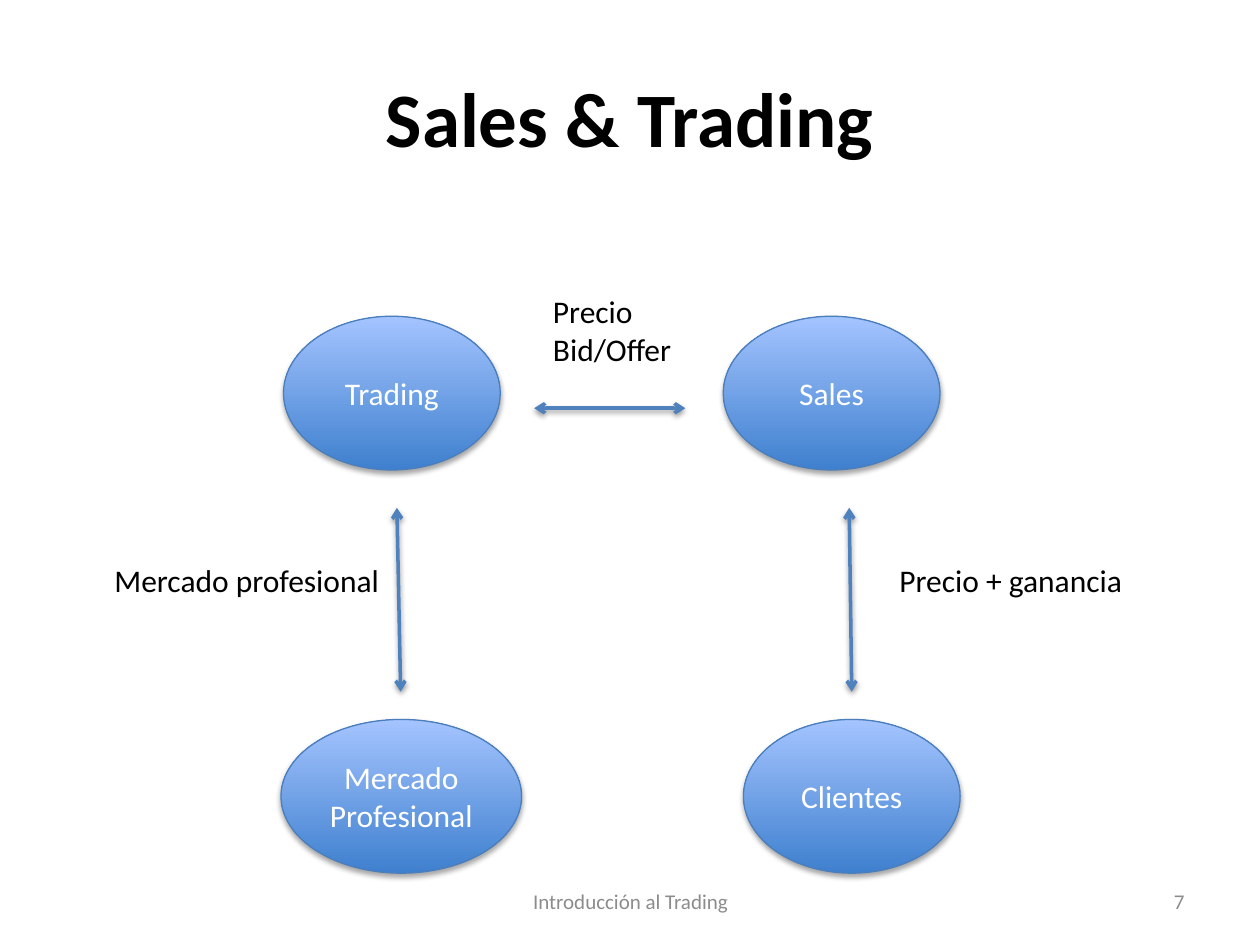
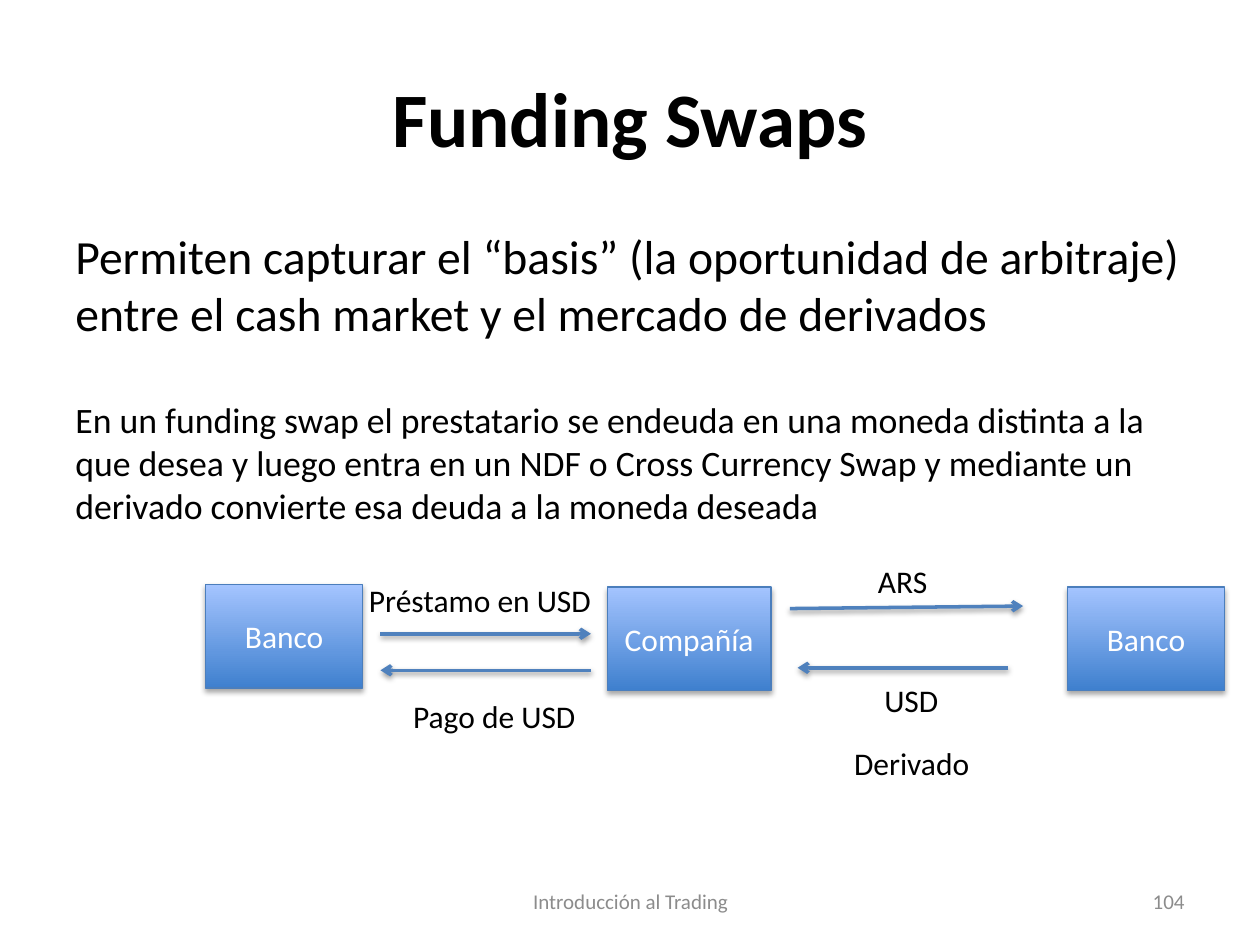
from lxml import etree
from pptx import Presentation
from pptx.dml.color import RGBColor
from pptx.enum.shapes import MSO_CONNECTOR, MSO_SHAPE
from pptx.enum.text import MSO_ANCHOR, MSO_AUTO_SIZE, PP_ALIGN
from pptx.oxml.ns import qn
from pptx.util import Inches, Pt

ELLIPSE, RECTANGLE = MSO_SHAPE.OVAL, MSO_SHAPE.RECTANGLE
STRAIGHT = MSO_CONNECTOR.STRAIGHT
LEFT, CENTER, RIGHT = PP_ALIGN.LEFT, PP_ALIGN.CENTER, PP_ALIGN.RIGHT
TOP, MIDDLE = MSO_ANCHOR.TOP, MSO_ANCHOR.MIDDLE
GROW = MSO_AUTO_SIZE.SHAPE_TO_FIT_TEXT

FONT = "Calibri"
COLORS = {
    "text": "000000",
    "node_text": "FFFFFF",
    "footer": "8C8C8C",
    "node_bottom": "3F80CE",
    "node_top": "A4C4FF",
    "node_edge": "4B7EBC",
    "arrow": "4F81BD",
    "shadow": "000000",
}
RGB = {part: RGBColor.from_string(value) for part, value in COLORS.items()}

deck = Presentation()
deck.slide_width, deck.slide_height = Inches(10), Inches(7.5)
BLANK = deck.slide_layouts[6]

# The grid has 100 columns and 75 rows; every place below is counted in them.
COL, ROW = deck.slide_width / 100, deck.slide_height / 75


def write(frame, paragraphs, color, align=CENTER, anchor=MIDDLE, bold=False):
    """Fill a text frame with (text, size, space before) paragraphs."""
    frame.vertical_anchor = anchor
    for index, (text, size, gap) in enumerate(paragraphs):
        paragraph = frame.add_paragraph() if index else frame.paragraphs[0]
        paragraph.alignment = align
        paragraph.space_before = Pt(gap)
        run = paragraph.add_run()
        run.text = text
        run.font.name, run.font.size, run.font.bold = FONT, Pt(size), bold
        run.font.color.rgb = RGB[color]


def cast_shadow(item, distance, opacity):
    """Give a shape or connector a soft shadow straight below it."""
    effects = etree.SubElement(item.element.spPr, qn("a:effectLst"))
    shadow = etree.SubElement(
        effects, qn("a:outerShdw"), blurRad=str(Pt(3.1)),
        dist=str(Pt(distance)), dir="5400000", rotWithShape="0")
    color = etree.SubElement(shadow, qn("a:srgbClr"), val=COLORS["shadow"])
    etree.SubElement(color, qn("a:alpha"), val=str(opacity * 1000))


# Sales & Trading: four ellipses in two rows, joined by two-way arrows
DESK_ROW, MARKET_ROW = 25.1, 57.1
ELLIPSE_W, ELLIPSE_H = 17.2, 12.2
LINK_TOP, LINK_BOTTOM = 40.3, 54.9
sales_trading = {
    "title": "Sales & Trading",
    "number": "7",
    "body": [],
    "outline": ELLIPSE,
    "nodes": [
        ("Sales", 57.4, DESK_ROW, ELLIPSE_W, ELLIPSE_H),
        ("Trading", 22.5, DESK_ROW, ELLIPSE_W, ELLIPSE_H),
        ("Mercado Profesional", 22.3, MARKET_ROW, 19.1, ELLIPSE_H),
        ("Clientes", 59, MARKET_ROW, ELLIPSE_W, ELLIPSE_H),
    ],
    "arrow_ends": ("headEnd", "tailEnd"),
    "arrows": [
        (31.5, LINK_TOP, 31.8, LINK_BOTTOM),
        (67.4, LINK_TOP, 67.6, LINK_BOTTOM),
        (42.4, 32.4, 54.4, 32.4),
    ],
    "labels": [
        (["Mercado profesional"], 8.1, 44, 23.4),
        (["Precio + ganancia"], 70.4, 44, 20),
        (["Precio", "Bid/Offer"], 42.9, 22.7, 11.5),
    ],
}

# Funding Swaps: three boxes in a row, with a flow each way between neighbours
BOX_ROW, BOX_H, BANK_W = 46.6, 8.2, 12.5
LOAN_LEFT, LOAN_RIGHT = 30.2, 46.9
funding_swaps = {
    "title": "Funding Swaps",
    "number": "104",
    "body": [
        ("Permiten capturar el “basis” (la oportunidad de arbitraje) entre el "
         "cash market y el mercado de derivados", 27.2, 0),
        ("En un funding swap el prestatario se endeuda en una moneda distinta "
         "a la que desea y luego entra en un NDF o Cross Currency Swap y "
         "mediante un derivado convierte esa deuda a la moneda deseada",
         20.4, 32.5),
    ],
    "outline": RECTANGLE,
    "nodes": [
        ("Compañía", 48.2, BOX_ROW, 13, BOX_H),
        ("Banco", 16.3, BOX_ROW - 0.2, BANK_W, BOX_H),
        ("Banco", 84.7, BOX_ROW, BANK_W, BOX_H),
    ],
    "arrow_ends": ("tailEnd",),
    "arrows": [
        (LOAN_LEFT, 50.3, LOAN_RIGHT, 50.3),
        (LOAN_RIGHT, 53.2, LOAN_LEFT, 53.2),
        (62.7, 48.3, 81.2, 48.1),
        (80, 53, 63.3, 53),
    ],
    "labels": [
        (["Préstamo en USD"], 28.3, 45.6, 19.9),
        (["Pago de USD"], 31.8, 54.8, 15.1),
        (["ARS"], 68.7, 44.1, 6),
        (["USD"], 69.2, 53.6, 6.4),
        (["Derivado"], 66.8, 58.6, 11.3),
    ],
}

for content in (sales_trading, funding_swaps):
    slide = deck.slides.add_slide(BLANK)
    shapes = slide.shapes

    # Title, body and footer share their places on every slide
    frames = [
        ([(content["title"], 44, 0)], 5, 3, 90, 12.5,
         "text", CENTER, MIDDLE, True),
        (content["body"], 5, 17.5, 90, 25, "text", LEFT, TOP, False),
        ([("Introducción al Trading", 12, 0)], 34.2, 69.5, 31.7, 4,
         "footer", CENTER, MIDDLE, False),
        ([(content["number"], 12, 0)], 71.7, 69.5, 23.3, 4,
         "footer", RIGHT, MIDDLE, False),
    ]
    for paragraphs, left, top, width, height, *style in frames:
        if paragraphs:
            box = shapes.add_textbox(int(left * COL), int(top * ROW),
                                     int(width * COL), int(height * ROW))
            box.text_frame.word_wrap = True
            write(box.text_frame, paragraphs, *style)

    for name, left, top, width, height in content["nodes"]:
        node = shapes.add_shape(content["outline"],
                                int(left * COL), int(top * ROW),
                                int(width * COL), int(height * ROW))
        node.fill.gradient()
        node.fill.gradient_angle = 90
        for stop, part in zip(node.fill.gradient_stops,
                              ("node_bottom", "node_top")):
            stop.color.rgb = RGB[part]
        node.line.color.rgb = RGB["node_edge"]
        node.line.width = Pt(0.75)
        cast_shadow(node, 1.8, 35)
        write(node.text_frame, [(name, 18, 0)], "node_text")

    for x1, y1, x2, y2 in content["arrows"]:
        arrow = shapes.add_connector(STRAIGHT, int(x1 * COL), int(y1 * ROW),
                                     int(x2 * COL), int(y2 * ROW))
        arrow.line.color.rgb = RGB["arrow"]
        arrow.line.width = Pt(2)
        stroke = arrow.element.spPr.find(qn("a:ln"))
        for end in content["arrow_ends"]:
            etree.SubElement(stroke, qn("a:" + end), type="arrow")
        cast_shadow(arrow, 1.6, 38)

    for lines, left, top, width in content["labels"]:
        label = shapes.add_textbox(int(left * COL), int(top * ROW),
                                   int(width * COL),
                                   int((1 + 3 * len(lines)) * ROW))
        label.text_frame.word_wrap = False
        label.text_frame.auto_size = GROW
        write(label.text_frame, [(line, 18, 0) for line in lines],
              "text", LEFT, TOP)

deck.save("out.pptx")
